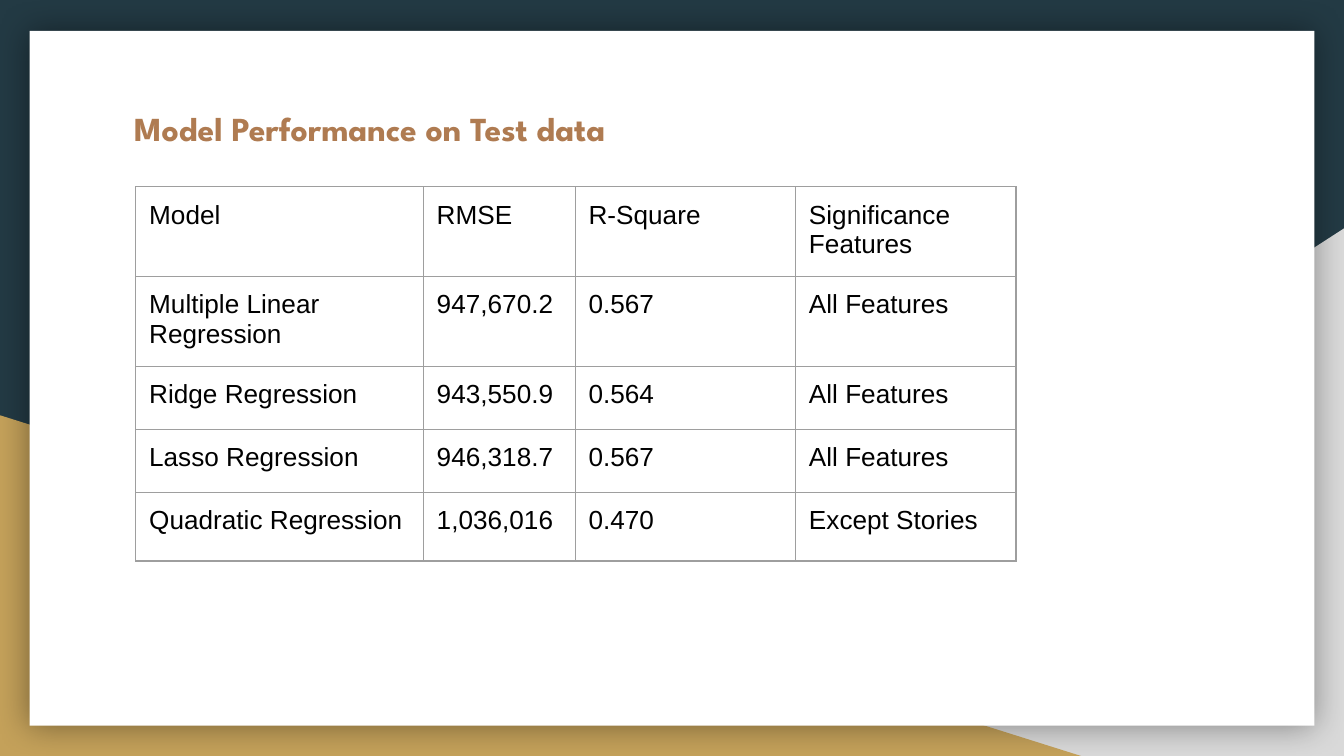
from dataclasses import dataclass

import lxml.etree
import pptx
import pptx.dml.color
import pptx.enum.shapes
import pptx.enum.text
import pptx.oxml
import pptx.oxml.ns
import pptx.util
from pptx.util import Inches


@dataclass(frozen=True)
class Theme:
    navy: str = "233A44"
    grey: str = "D9D9D9"
    gold: str = "C4A15A"
    white: str = "FFFFFF"
    copper: str = "AF7B51"
    black: str = "000000"
    border: str = "9E9E9E"
    title_font: str = "League Spartan"
    body_font: str = "Arial"
    title_size: float = 18
    body_size: float = 14
    border_width: float = 0.75


THEME = Theme()
MARGIN = Inches(0.1)
COLUMN_WIDTHS = [2.14, 1.13, 1.64, 1.64]
ROW_HEIGHTS = [0.65, 0.65, 0.47, 0.47, 0.51]
RESULTS = [
    ["Model", "RMSE", "R-Square", "Significance Features"],
    ["Multiple Linear Regression", "947,670.2", "0.567", "All Features"],
    ["Ridge Regression", "943,550.9", "0.564", "All Features"],
    ["Lasso Regression", "946,318.7", "0.567", "All Features"],
    ["Quadratic Regression", "1,036,016", "0.470", "Except Stories"],
]


def rgb(color):
    return pptx.dml.color.RGBColor.from_string(color)


def add_panel(page, kind, bounds, color):
    panel = page.shapes.add_shape(kind, *map(Inches, bounds))
    panel.shadow.inherit = False
    panel.fill.solid()
    panel.fill.fore_color.rgb = rgb(color)
    panel.line.fill.background()
    return panel


def add_glow(panel, color, opacity, blur):
    effects = panel._element.spPr.find(pptx.oxml.ns.qn("a:effectLst"))
    effects.append(pptx.oxml.parse_xml(
        f'<a:outerShdw {pptx.oxml.ns.nsdecls("a")} blurRad="{pptx.util.Pt(blur)}" '
        f'dist="0" dir="0" algn="ctr" rotWithShape="0"><a:srgbClr val="{color}">'
        f'<a:alpha val="{opacity * 1000}"/></a:srgbClr></a:outerShdw>'))


def write_text(frame, text, font, size, color, bold=False):
    frame.text = text
    para = frame.paragraphs[0]
    para.line_spacing = 1.0
    para.space_before = para.space_after = pptx.util.Pt(0)
    span = para.runs[0]
    span.font.name = font
    span.font.size = pptx.util.Pt(size)
    span.font.color.rgb = rgb(color)
    span.font.bold = bold


def add_title(page, bounds, text):
    box = page.shapes.add_textbox(*map(Inches, bounds))
    frame = box.text_frame
    frame.word_wrap = True
    frame.margin_left = frame.margin_right = MARGIN
    frame.margin_top = frame.margin_bottom = MARGIN
    frame.vertical_anchor = pptx.enum.text.MSO_ANCHOR.TOP
    write_text(frame, text, THEME.title_font, THEME.title_size, THEME.copper, True)


def outline_cell(cell):
    properties = cell._tc.get_or_add_tcPr()
    for position, side in enumerate(["lnL", "lnR", "lnT", "lnB"]):
        properties.insert(position, pptx.oxml.parse_xml(
            f'<a:{side} {pptx.oxml.ns.nsdecls("a")} '
            f'w="{pptx.util.Pt(THEME.border_width)}"><a:solidFill>'
            f'<a:srgbClr val="{THEME.border}"/></a:solidFill></a:{side}>'))


def add_results(page, left, top):
    table = page.shapes.add_table(
        len(RESULTS), len(COLUMN_WIDTHS), Inches(left), Inches(top),
        Inches(sum(COLUMN_WIDTHS)), Inches(sum(ROW_HEIGHTS))).table
    table.first_row = table.horz_banding = False
    for column, width in zip(table.columns, COLUMN_WIDTHS):
        column.width = Inches(width)
    for row, height, values in zip(table.rows, ROW_HEIGHTS, RESULTS):
        row.height = Inches(height)
        for cell, value in zip(row.cells, values):
            cell.margin_left = cell.margin_right = MARGIN
            cell.margin_top = cell.margin_bottom = MARGIN
            cell.fill.background()
            outline_cell(cell)
            write_text(cell.text_frame, value, THEME.body_font,
                       THEME.body_size, THEME.black)


def main():
    deck = pptx.Presentation()
    deck.slide_width = Inches(10)
    deck.slide_height = deck.slide_width * 9 // 16
    page = deck.slides.add_slide(deck.slide_layouts[6])
    page.background.fill.solid()
    page.background.fill.fore_color.rgb = rgb(THEME.navy)

    kinds = pptx.enum.shapes.MSO_SHAPE
    right_corner = add_panel(
        page, kinds.RIGHT_TRIANGLE, (3.92, 1.7, 6.08, 3.93), THEME.grey)
    right_corner._element.spPr.get_or_add_xfrm().set("flipH", "1")
    add_panel(page, kinds.RIGHT_TRIANGLE, (0, 3.09, 8.06, 2.54), THEME.gold)
    card = add_panel(page, kinds.RECTANGLE, (0.22, 0.23, 9.56, 5.17), THEME.white)
    add_glow(card, THEME.black, 40, 18)

    add_title(page, (0.9, 0.7, 8.21, 0.52), "Model Performance on Test data")
    add_results(page, 1.01, 1.39)
    deck.save("out.pptx")


if __name__ == "__main__":
    main()
